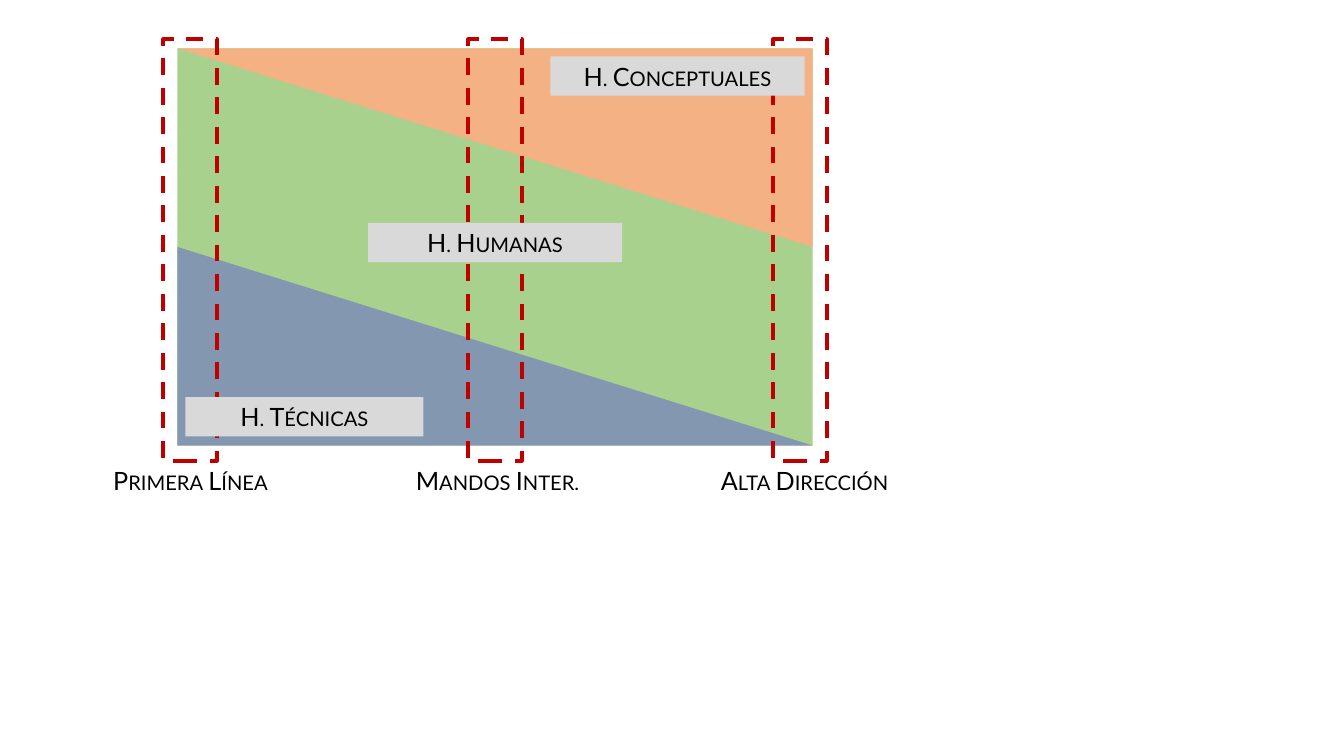
from dataclasses import dataclass

from pptx import Presentation
from pptx.dml.color import RGBColor
from pptx.enum.dml import MSO_LINE
from pptx.enum.shapes import MSO_SHAPE
from pptx.enum.text import MSO_ANCHOR, PP_ALIGN
from pptx.util import Inches, Pt

RECTANGLE = MSO_SHAPE.RECTANGLE
TRIANGLE = MSO_SHAPE.RIGHT_TRIANGLE
DASH = MSO_LINE.DASH
MIDDLE = MSO_ANCHOR.MIDDLE
CENTER = PP_ALIGN.CENTER
BLANK_LAYOUT = 6


@dataclass(frozen=True)
class Theme:
    """Colours and type of the slide."""
    human: str = "A9D18E"
    technical: str = "8497B0"
    conceptual: str = "F4B183"
    tag: str = "D9D9D9"
    level: str = "C00000"
    paper: str = "FFFFFF"
    ink: str = "000000"
    font: str = "Lato"
    size: int = 18


THEME = Theme()

# Management levels, left to right
LEVELS = ["Primera Línea", "Mandos Inter.", "Alta Dirección"]
# Skill tags: text, left, top, width
SKILLS = [
    ("H. Conceptuales", 5.46, 0.56, 2.52),
    ("H. Humanas", 3.65, 2.21, 2.52),
    ("H. Técnicas", 1.84, 3.94, 2.36),
]

CHART_LEFT, CHART_TOP, CHART_WIDTH, CHART_HEIGHT = 1.76, 0.48, 6.3, 3.94
HALF_HEIGHT = CHART_HEIGHT / 2
LEVEL_LEFT, LEVEL_TOP, LEVEL_WIDTH, LEVEL_HEIGHT = 1.62, 0.39, 0.53, 4.18
LEVEL_STEP = (CHART_WIDTH - 0.25) / (len(LEVELS) - 1)
CAPTION_LEFT, CAPTION_WIDTH = 0.71, 2.36
CAPTION_TOP = LEVEL_TOP + LEVEL_HEIGHT
CAPTION_STEP = 3.045
LABEL_HEIGHT = 0.39


def add_box(page, kind, place, fill=None, line=None, weight=0.5):
    """Add a flat shape at place (left, top, width, height in inches)."""
    box = page.shapes.add_shape(kind, *map(Inches, place))
    box.shadow.inherit = False
    if fill:
        box.fill.solid()
        box.fill.fore_color.rgb = RGBColor.from_string(fill)
    else:
        box.fill.background()
    if line:
        box.line.color.rgb = RGBColor.from_string(line)
        box.line.width = Pt(weight)
    else:
        box.line.fill.background()
    return box


def write_label(box, text):
    """Write centred small-caps text in a box."""
    frame = box.text_frame
    frame.word_wrap = True
    frame.vertical_anchor = MIDDLE
    para = frame.paragraphs[0]
    para.text = text
    para.alignment = CENTER
    para.font.name = THEME.font
    para.font.size = Pt(THEME.size)
    para.font.color.rgb = RGBColor.from_string(THEME.ink)
    para._p.get_or_add_pPr().get_or_add_defRPr().set("cap", "small")


def add_areas(page):
    """Draw the three skill areas: a rectangle with two triangles over it."""
    add_box(page, RECTANGLE, (CHART_LEFT, CHART_TOP, CHART_WIDTH, CHART_HEIGHT),
            THEME.human)
    add_box(page, TRIANGLE,
            (CHART_LEFT, CHART_TOP + HALF_HEIGHT, CHART_WIDTH, HALF_HEIGHT),
            THEME.technical)
    conceptual = add_box(page, TRIANGLE,
                         (CHART_LEFT, CHART_TOP, CHART_WIDTH, HALF_HEIGHT),
                         THEME.conceptual)
    conceptual.rotation = 180


def add_levels(page):
    """Draw a dashed frame and a caption for each management level."""
    for index, name in enumerate(LEVELS):
        caption = add_box(page, RECTANGLE,
                          (CAPTION_LEFT + index * CAPTION_STEP, CAPTION_TOP,
                           CAPTION_WIDTH, LABEL_HEIGHT), line=THEME.paper)
        write_label(caption, name)
        frame = add_box(page, RECTANGLE,
                        (LEVEL_LEFT + index * LEVEL_STEP, LEVEL_TOP,
                         LEVEL_WIDTH, LEVEL_HEIGHT), line=THEME.level, weight=3)
        frame.line.dash_style = DASH


def add_skills(page):
    """Place the grey skill tags over the areas."""
    for text, left, top, width in SKILLS:
        tag = add_box(page, RECTANGLE, (left, top, width, LABEL_HEIGHT), THEME.tag)
        write_label(tag, text)


deck = Presentation()
deck.slide_width, deck.slide_height = Inches(13.33), Inches(7.5)
slide = deck.slides.add_slide(deck.slide_layouts[BLANK_LAYOUT])
add_areas(slide)
add_levels(slide)
add_skills(slide)
deck.save("out.pptx")
